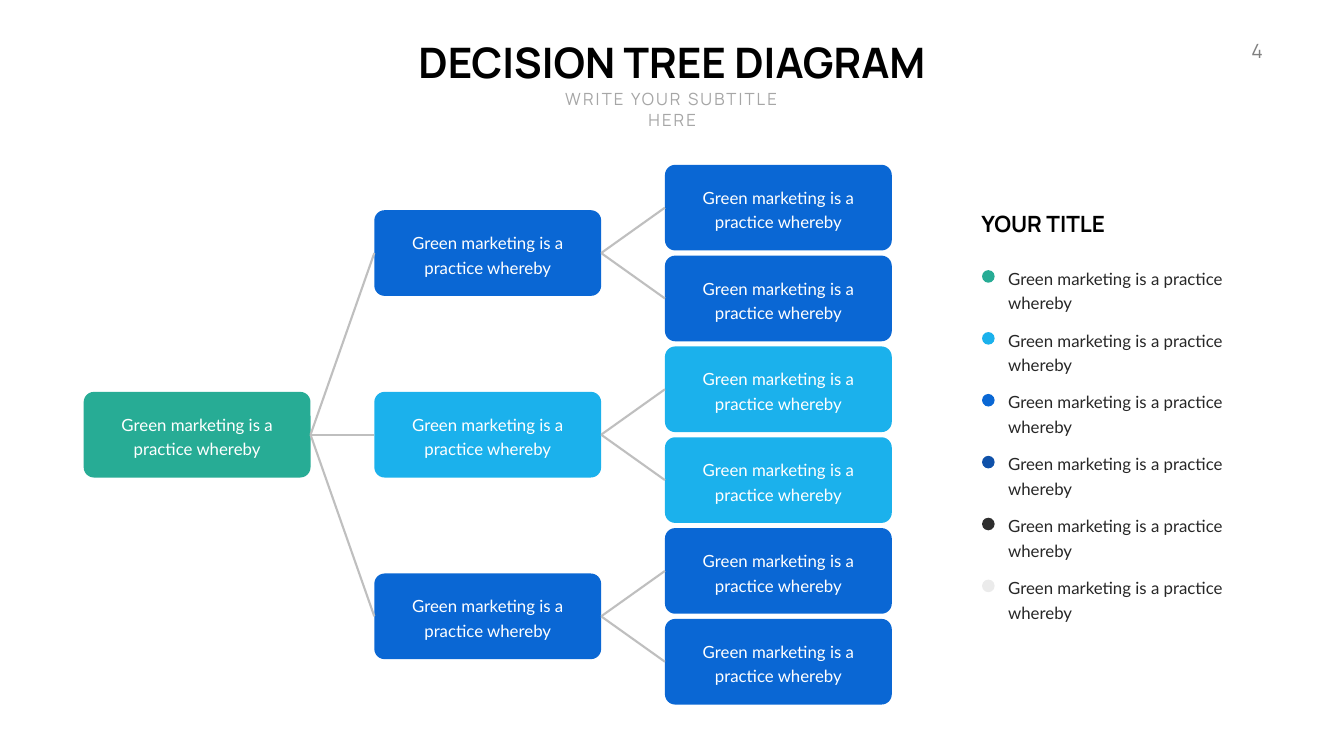
from dataclasses import dataclass

from lxml.etree import SubElement
from pptx import Presentation
from pptx.dml.color import RGBColor
from pptx.enum.shapes import MSO_CONNECTOR as Connector, MSO_SHAPE as Shape
from pptx.enum.text import MSO_ANCHOR as Anchor, PP_ALIGN as Align
from pptx.oxml.ns import qn
from pptx.util import Inches, Pt


@dataclass(frozen=True)
class Theme:
    heading: str = "Manrope"
    body: str = "Lato"
    green: str = "27AC95"
    sky: str = "1BB1EC"
    blue: str = "0A67D4"
    navy: str = "0F51A9"
    charcoal: str = "2E2E2E"
    pale: str = "EBEBEB"
    white: str = "FFFFFF"
    black: str = "000000"
    ink: str = "272727"
    muted: str = "A6A6A6"
    number: str = "808080"
    link: str = "BFBFBF"
    title_size: int = 60
    legend_title_size: int = 32
    number_size: int = 28
    text_size: int = 24
    leading: int = 35


@dataclass(frozen=True)
class Box:
    left: float
    top: float
    width: float
    height: float

    def lengths(self):
        return [Inches(v) for v in (self.left, self.top, self.width, self.height)]


THEME = Theme()
PHRASE = "Green marketing is a practice whereby"
RIGHT_SITE, LEFT_SITE = 3, 1


def write(frame, text, *, font=THEME.body, size=THEME.text_size, color=THEME.ink,
          bold=False, align=Align.LEFT, anchor=Anchor.TOP, wrap=True,
          leading=None, tracking=0):
    frame.word_wrap = wrap
    frame.vertical_anchor = anchor
    para = frame.paragraphs[0]
    para.alignment = align
    if leading:
        para.line_spacing = Pt(leading)
    span = para.add_run()
    span.text = text
    span.font.name = font
    span.font.size = Pt(size)
    span.font.bold = bold
    span.font.color.rgb = RGBColor.from_string(color)
    if tracking:
        span.font._element.set("spc", str(tracking * 100))


def add_text(page, box, text, **style):
    write(page.shapes.add_textbox(*box.lengths()).text_frame, text, **style)


def add_filled(page, kind, box, color):
    shape = page.shapes.add_shape(kind, *box.lengths())
    shape.shadow.inherit = False
    shape.fill.solid()
    shape.fill.fore_color.rgb = RGBColor.from_string(color)
    shape.line.fill.background()
    return shape


def add_node(page, box, color):
    node = add_filled(page, Shape.ROUNDED_RECTANGLE, box, color)
    node.adjustments[0] = 0.12
    node.text_frame.margin_left = node.text_frame.margin_right = Inches(0.45)
    write(node.text_frame, PHRASE, color=THEME.white, align=Align.CENTER,
          anchor=Anchor.MIDDLE, leading=THEME.leading)
    return node


def add_link(page, parent, child):
    link = page.shapes.add_connector(Connector.STRAIGHT, 0, 0, 0, 0)
    link.begin_connect(parent, RIGHT_SITE)
    link.end_connect(child, LEFT_SITE)
    link.line.color.rgb = RGBColor.from_string(THEME.link)
    link.line.width = Pt(3)
    SubElement(link._element.spPr, qn("a:effectLst"))


def add_header(page, box):
    center = box.left + box.width / 2
    add_text(page, Box(center - 5.3, box.top, 10.6, 1.11), "DECISION TREE DIAGRAM",
             font=THEME.heading, size=THEME.title_size, color=THEME.black,
             bold=True, align=Align.CENTER, wrap=False)
    add_text(page, Box(center - 2.71, box.top + 1.05, 5.43, 0.9),
             "WRITE YOUR SUBTITLE HERE", font=THEME.heading, color=THEME.muted,
             align=Align.CENTER, tracking=3)
    add_text(page, Box(box.left + box.width - 0.88, box.top + 0.05, 0.88, 0.57), "4",
             font=THEME.heading, size=THEME.number_size, color=THEME.number,
             align=Align.RIGHT, wrap=False, tracking=3)


def add_tree(page, box):
    branch_colors = [THEME.blue, THEME.sky, THEME.blue]
    leaves_per_branch = 2
    leaf_count = len(branch_colors) * leaves_per_branch
    node_width, node_height = 4.5, 1.7
    column_step = (box.width - node_width) / 2
    row_step = (box.height - node_height) / (leaf_count - 1)

    def place(column, row, color):
        spot = Box(box.left + column * column_step, box.top + row * row_step,
                   node_width, node_height)
        return add_node(page, spot, color)

    root = place(0, (leaf_count - 1) / 2, THEME.green)
    for index, color in enumerate(branch_colors):
        first = index * leaves_per_branch
        branch = place(1, first + (leaves_per_branch - 1) / 2, color)
        add_link(page, root, branch)
        for row in range(first, first + leaves_per_branch):
            add_link(page, branch, place(2, row, color))


def add_legend(page, box):
    add_text(page, Box(box.left, box.top, 2.68, 0.64), "YOUR TITLE",
             font=THEME.heading, size=THEME.legend_title_size, color=THEME.black,
             bold=True, anchor=Anchor.MIDDLE, wrap=False)
    colors = [THEME.green, THEME.sky, THEME.blue, THEME.navy, THEME.charcoal, THEME.pale]
    first_top, item_height = box.top + 1.07, 1.03
    step = (box.height - 1.07 - item_height) / (len(colors) - 1)
    for index, color in enumerate(colors):
        top = first_top + index * step
        add_filled(page, Shape.OVAL, Box(box.left + 0.11, top + 0.17, 0.25, 0.25), color)
        add_text(page, Box(box.left + 0.53, top, box.width - 0.53, item_height), PHRASE,
                 leading=THEME.leading)


def main():
    deck = Presentation()
    deck.slide_width, deck.slide_height = Inches(26.66), Inches(15)
    page = deck.slides.add_slide(deck.slide_layouts[6])
    add_header(page, Box(1.51, 0.67, 23.64, 1.95))
    add_tree(page, Box(1.66, 3.27, 16.03, 10.71))
    add_legend(page, Box(19.37, 4.12, 5.23, 8.24))
    deck.save("out.pptx")


if __name__ == "__main__":
    main()
